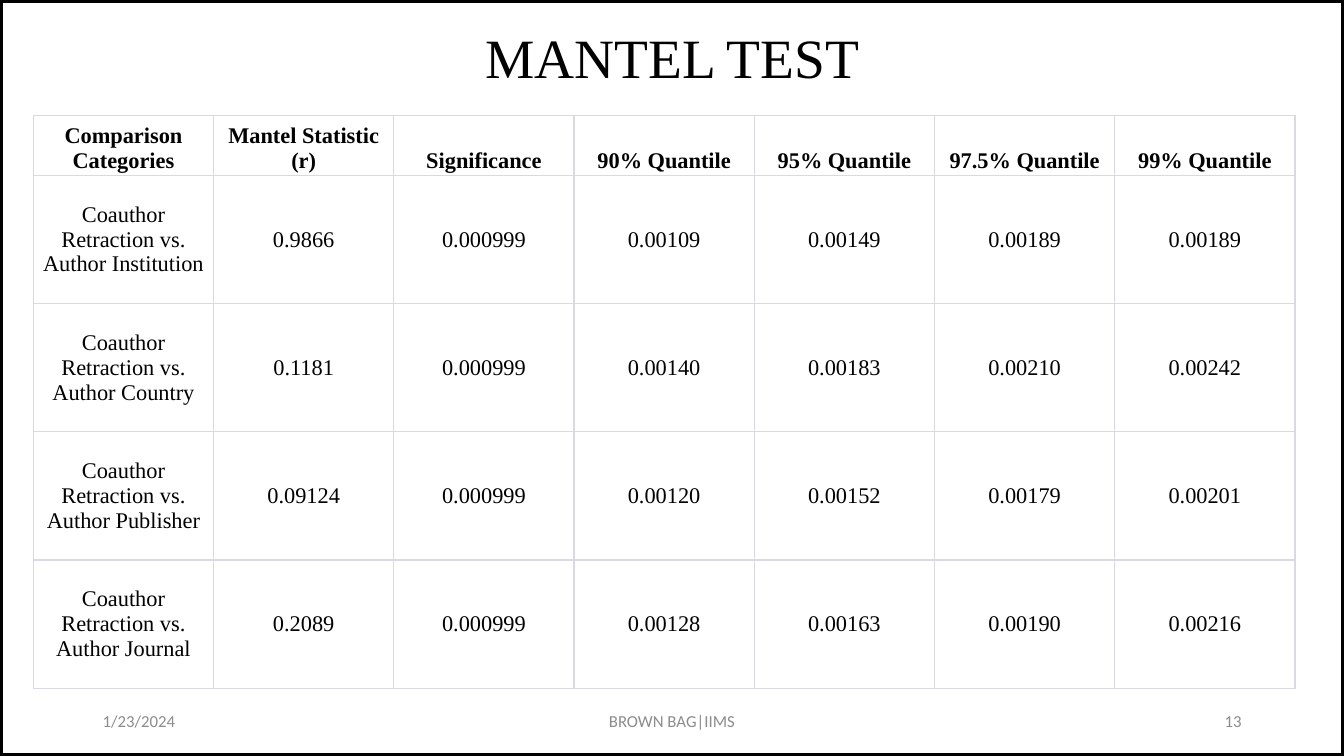
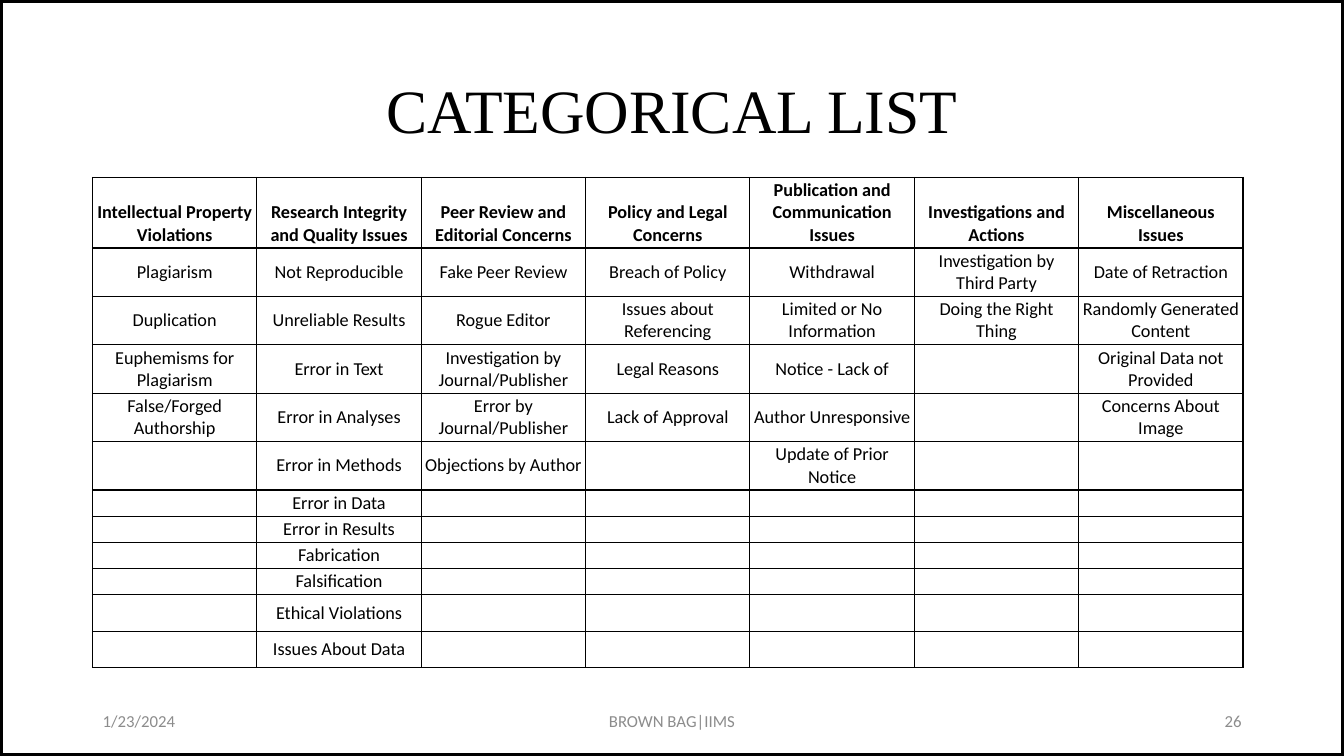
from itertools import zip_longest
from lxml.etree import SubElement
from pptx import Presentation
from pptx.dml.color import RGBColor
from pptx.enum.shapes import MSO_SHAPE
from pptx.enum.text import MSO_ANCHOR, MSO_AUTO_SIZE, PP_ALIGN
from pptx.oxml.ns import qn
from pptx.util import Cm, Pt

BLACK = RGBColor(0x00, 0x00, 0x00)
GRAY = RGBColor(0x8C, 0x8C, 0x8C)
LILAC = RGBColor(0xD9, 0xD9, 0xE3)
SERIF, SANS = "Times New Roman", "Calibri"
WIDTH, HEIGHT = Cm(33.87), Cm(19.05)

MANTEL = [
    ("Comparison Categories", "Mantel Statistic (r)", "Significance",
     "90% Quantile", "95% Quantile", "97.5% Quantile", "99% Quantile"),
    ("Coauthor Retraction vs. Author Institution", "0.9866", "0.000999",
     "0.00109", "0.00149", "0.00189", "0.00189"),
    ("Coauthor Retraction vs. Author Country", "0.1181", "0.000999",
     "0.00140", "0.00183", "0.00210", "0.00242"),
    ("Coauthor Retraction vs. Author Publisher", "0.09124", "0.000999",
     "0.00120", "0.00152", "0.00179", "0.00201"),
    ("Coauthor Retraction vs. Author Journal", "0.2089", "0.000999",
     "0.00128", "0.00163", "0.00190", "0.00216"),
]
REASONS = {
    "Intellectual Property Violations": [
        "Plagiarism", "Duplication", "Euphemisms for Plagiarism",
        "False/Forged Authorship"],
    "Research Integrity and Quality Issues": [
        "Not Reproducible", "Unreliable Results", "Error in Text",
        "Error in Analyses", "Error in Methods", "Error in Data",
        "Error in Results", "Fabrication", "Falsification",
        "Ethical Violations", "Issues About Data"],
    "Peer Review and Editorial Concerns": [
        "Fake Peer Review", "Rogue Editor",
        "Investigation by Journal/Publisher", "Error by Journal/Publisher",
        "Objections by Author"],
    "Policy and Legal Concerns": [
        "Breach of Policy", "Issues about Referencing", "Legal Reasons",
        "Lack of Approval"],
    "Publication and Communication Issues": [
        "Withdrawal", "Limited or No Information", "Notice - Lack of",
        "Author Unresponsive", "Update of Prior Notice"],
    "Investigations and Actions": [
        "Investigation by Third Party", "Doing the Right Thing"],
    "Miscellaneous Issues": [
        "Date of Retraction", "Randomly Generated Content",
        "Original Data not Provided", "Concerns About Image"],
}
LISTS = [tuple(REASONS), *zip_longest(*REASONS.values(), fillvalue="")]

SLIDES = [
    {"title": "MANTEL TEST", "size": 39.6, "top": 0.69, "tall": 1.68,
     "page": "13", "rows": MANTEL, "at": (0.84, 2.92, 31.8),
     "heights": [1.5] + [3.23] * 4, "line": LILAC,
     "font": {"name": SERIF, "size": Pt(16)}},
    {"title": "CATEGORICAL LIST", "size": 44, "top": 1.02, "tall": 3.68,
     "page": "26", "rows": LISTS, "at": (2.33, 4.47, 29),
     "heights": [1.78] + [1.21] * 5 + [0.66] * 4 + [0.92] * 2, "line": BLACK,
     "font": {"name": SANS, "size": Pt(13)}},
]
FOOTER = [
    ("1/23/2024", 2.34, 7.62, PP_ALIGN.LEFT),
    ("BROWN BAG|IIMS", 11.22, 11.43, PP_ALIGN.CENTER),
    (None, 23.92, 7.62, PP_ALIGN.RIGHT),
]


def style(target, **values):
    for name, value in values.items():
        setattr(target, name, value)


def write(frame, text, align, color, **font):
    para = frame.paragraphs[0]
    para.alignment = align
    if text:
        run = para.add_run()
        run.text = text
        style(run.font, **font)
        run.font.color.rgb = color
    else:
        SubElement(para._p, qn("a:endParaRPr"), sz=str(int(font["size"].pt * 100)))
    return para


def border(cell, color):
    props = cell._tc.get_or_add_tcPr()
    for side in ("lnL", "lnR", "lnT", "lnB"):
        line = SubElement(props, qn(f"a:{side}"), w=str(Pt(1)))
        fill = SubElement(line, qn("a:solidFill"))
        SubElement(fill, qn("a:srgbClr"), val=str(color))


def add_title(slide, item):
    title = slide.shapes.title
    style(title, left=Cm(2.34), top=Cm(item["top"]),
          width=Cm(29.21), height=Cm(item["tall"]))
    frame = title.text_frame
    style(frame, auto_size=MSO_AUTO_SIZE.NONE, word_wrap=True,
          vertical_anchor=MSO_ANCHOR.MIDDLE)
    para = write(frame, item["title"], PP_ALIGN.CENTER, BLACK,
                 name=SERIF, size=Pt(item["size"]))
    para.line_spacing = 0.9


def add_grid(slide, item):
    rows, heights = item["rows"], item["heights"]
    left, top, wide = item["at"]
    count = len(rows[0])
    grid = slide.shapes.add_table(len(rows), count, Cm(left), Cm(top),
                                  Cm(wide), Cm(sum(heights))).table
    style(grid, first_row=False, horz_banding=False)
    for col in grid.columns:
        col.width = Cm(wide / count)
    for r, (texts, tall) in enumerate(zip(rows, heights)):
        grid.rows[r].height = Cm(tall)
        for c, text in enumerate(texts):
            cell = grid.cell(r, c)
            style(cell, margin_left=Cm(0.1), margin_right=Cm(0.1),
                  margin_top=Cm(0.05), margin_bottom=Cm(0.05),
                  vertical_anchor=MSO_ANCHOR.MIDDLE if r else MSO_ANCHOR.BOTTOM)
            border(cell, item["line"])
            cell.fill.background()
            write(cell.text_frame, text, PP_ALIGN.CENTER, BLACK,
                  bold=r == 0, **item["font"])


def add_footer(slide, page):
    for text, left, wide, align in FOOTER:
        box = slide.shapes.add_textbox(Cm(left), Cm(17.66), Cm(wide), Cm(1.01))
        style(box.text_frame, word_wrap=True, vertical_anchor=MSO_ANCHOR.MIDDLE)
        write(box.text_frame, text or page, align, GRAY, name=SANS, size=Pt(12))


def add_frame(deck, slide):
    frame = slide.shapes.add_shape(MSO_SHAPE.RECTANGLE, 0, 0, WIDTH, HEIGHT)
    frame.shadow.inherit = False
    frame.fill.background()
    frame.line.color.rgb = BLACK
    frame.line.width = Pt(4.5)
    deck.slide_master.shapes.element.append(frame.element)


def main():
    deck = Presentation()
    style(deck, slide_width=WIDTH, slide_height=HEIGHT)
    for item in SLIDES:
        slide = deck.slides.add_slide(deck.slide_layouts[5])
        add_title(slide, item)
        add_grid(slide, item)
        add_footer(slide, item["page"])
    add_frame(deck, deck.slides[0])
    deck.save("out.pptx")


if __name__ == "__main__":
    main()
